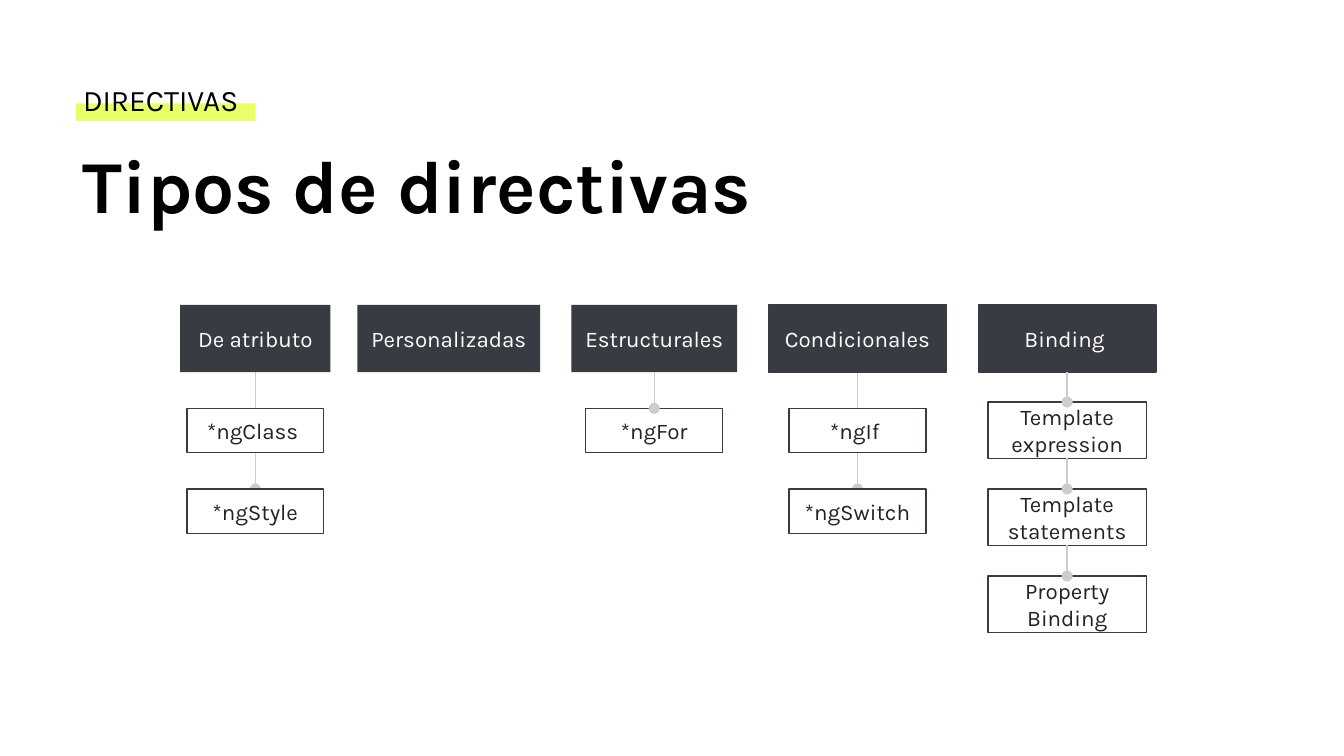
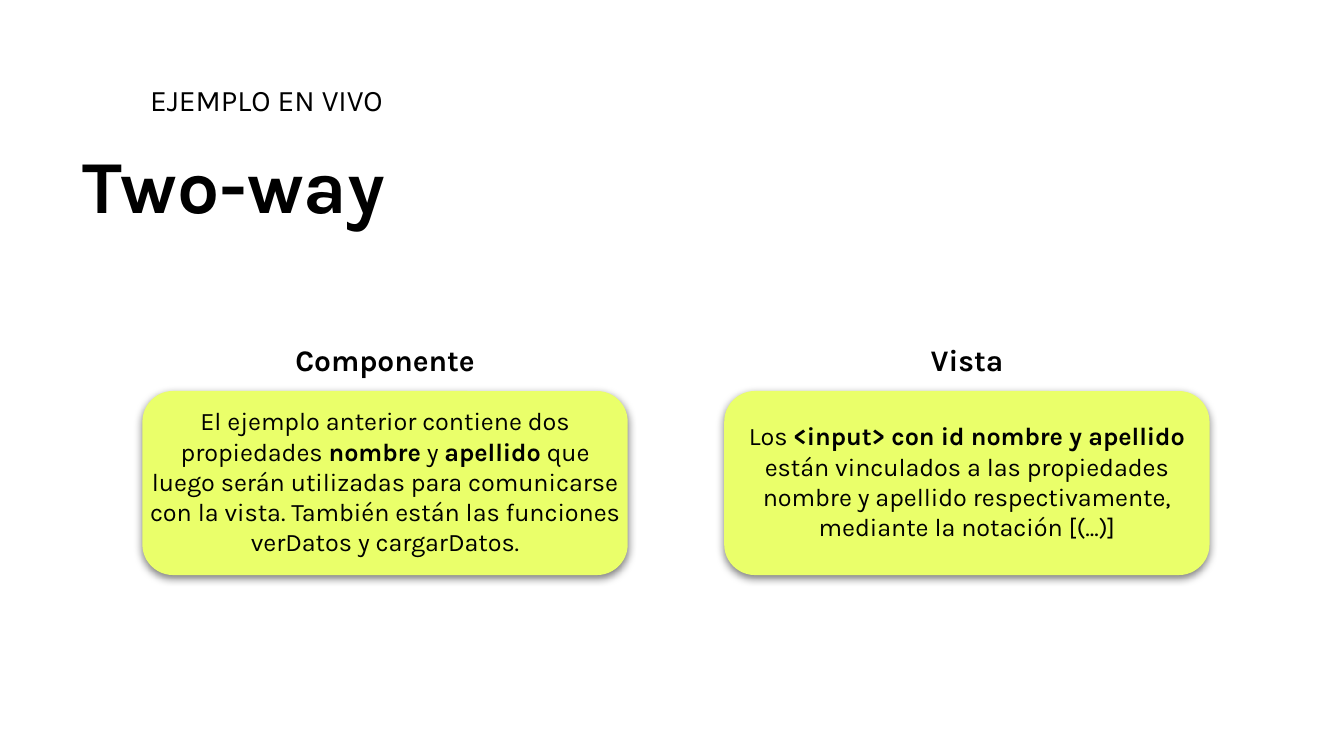
"""Builds two slides about directives: their types and a two-way example."""
import lxml.etree
import pptx
import pptx.dml.color
import pptx.enum.shapes
import pptx.enum.text
import pptx.oxml
import pptx.oxml.ns
import pptx.util

Pt = pptx.util.Pt
SHAPES = pptx.enum.shapes.MSO_SHAPE
CENTER = pptx.enum.text.PP_ALIGN.CENTER

FONT = "Karla"
LIME, DARK, INK = "EAFF6A", "393B43", "222222"
BLACK, WHITE, GREY = "000000", "FFFFFF", "CCCCCC"
INSET = 7.2

HEADER_TOP, HEADER_HEIGHT = 163.4, 36
HEADER_BOTTOM = HEADER_TOP + HEADER_HEIGHT
SECOND_ROW = 262
SMALL_BOX = {"width": 73.4, "height": 23.8, "pitch": 43.2}
LARGE_BOX = {"width": 85, "height": 30.2, "pitch": 46.6}

CARD_TOP, CARD_WIDTH, CARD_HEIGHT = 209.5, 260, 98.6


def color(hex_text):
    """Turn a hex string into a colour."""
    return pptx.dml.color.RGBColor.from_string(hex_text)


def write(shape, pieces, size, ink, align=None, spacing=None):
    """Fill a shape with one paragraph of (text, bold) pieces."""
    frame = shape.text_frame
    frame.word_wrap = True
    frame.margin_left = frame.margin_right = Pt(INSET)
    frame.margin_top = frame.margin_bottom = Pt(INSET)
    paragraph = frame.paragraphs[0]
    paragraph.alignment = align
    paragraph.line_spacing = spacing
    for text, bold in pieces:
        run = paragraph.add_run()
        run.text = text
        run.font.name = FONT
        run.font.size = Pt(size)
        run.font.bold = bold
        run.font.color.rgb = color(ink)


def add_label(slide, left, top, width, height, pieces, size, align=None, spacing=None):
    """Add a text box that grows with its text."""
    label = slide.shapes.add_textbox(Pt(left), Pt(top), Pt(width), Pt(height))
    write(label, pieces, size, BLACK, align, spacing)
    label.text_frame.auto_size = pptx.enum.text.MSO_AUTO_SIZE.SHAPE_TO_FIT_TEXT


def add_block(slide, left, top, width, height, fill, outline=None, kind=SHAPES.RECTANGLE):
    """Add a filled shape without shadow."""
    block = slide.shapes.add_shape(kind, Pt(left), Pt(top), Pt(width), Pt(height))
    block.shadow.inherit = False
    block.fill.solid()
    block.fill.fore_color.rgb = color(fill)
    if outline:
        block.line.color.rgb = color(outline)
        block.line.width = Pt(0.75)
    else:
        block.line.fill.background()
    return block


def add_node(slide, center, top, width, height, text, fill, ink, outline=None):
    """Add a diagram box with centred text around a column axis."""
    node = add_block(slide, center - width / 2, top, width, height, fill, outline)
    write(node, [(text, False)], 12, ink, CENTER)
    node.text_frame.vertical_anchor = pptx.enum.text.MSO_ANCHOR.MIDDLE


def add_link(slide, center, top, bottom):
    """Add a vertical grey line that ends in a dot."""
    link = slide.shapes.add_connector(
        pptx.enum.shapes.MSO_CONNECTOR.STRAIGHT, Pt(center), Pt(top), Pt(center), Pt(bottom))
    link.line.color.rgb = color(GREY)
    link.line.width = Pt(0.75)
    qn = pptx.oxml.ns.qn
    outline = link.line._get_or_add_ln()
    lxml.etree.SubElement(outline, qn("a:tailEnd"), type="oval")
    lxml.etree.SubElement(link._element.spPr, qn("a:effectLst"))


def add_heading(slide, kicker, kicker_left, title):
    """Add the small upper line and the large title."""
    add_label(slide, 37.4, 72.7, 642, 58.3, [(title, True)], 40, spacing=0.9)
    add_label(slide, kicker_left, 36.7, 372, 33.8, [(kicker, False)], 16)


def add_column(slide, center, width, header, items, box, outline=None, through=False):
    """Add a header with its chain of boxes; a through link runs behind them."""
    first = SECOND_ROW - box["pitch"]
    tops = [first + i * box["pitch"] for i in range(len(items))]
    if through:
        add_link(slide, center, HEADER_BOTTOM, tops[-1])
    add_node(slide, center, HEADER_TOP, width, HEADER_HEIGHT, header, DARK, WHITE, outline)
    for top, item in zip(tops, items):
        add_node(slide, center, top, box["width"], box["height"], item, WHITE, INK, DARK)
    if not through:
        starts = [HEADER_BOTTOM] + [top + box["height"] for top in tops]
        for start, top in zip(starts, tops):
            add_link(slide, center, start, top)


def add_soft_shadow(shape):
    """Give a shape a half-transparent shadow below it."""
    effects = shape._element.spPr.find(pptx.oxml.ns.qn("a:effectLst"))
    effects.append(pptx.oxml.parse_xml(
        f'<a:outerShdw {pptx.oxml.ns.nsdecls("a")} blurRad="{Pt(4.5)}" dist="{Pt(1.5)}" '
        f'dir="5400000" algn="bl" rotWithShape="0"><a:srgbClr val="{BLACK}">'
        '<a:alpha val="50000"/></a:srgbClr></a:outerShdw>'))


def add_card(slide, center, caption, pieces, text_top, text_width, text_height):
    """Add a captioned lime card with its text."""
    add_label(slide, center - 60, 175.7, 120, 33.8, [(caption, True)], 16, CENTER)
    card = add_block(slide, center - CARD_WIDTH / 2, CARD_TOP, CARD_WIDTH, CARD_HEIGHT,
                     LIME, kind=SHAPES.ROUNDED_RECTANGLE)
    add_soft_shadow(card)
    add_label(slide, center - text_width / 2, text_top, text_width, text_height,
              pieces, 13.5, CENTER)


def build_types(slide):
    """Draw the slide with the kinds of directives."""
    add_block(slide, 40.6, 55.4, 96.4, 9.4, LIME)
    add_heading(slide, "DIRECTIVAS", 37.4, "Tipos de directivas")
    add_column(slide, 136.8, 80.6, "De atributo", ["*ngClass ", "*ngStyle"],
               SMALL_BOX, through=True)
    add_column(slide, 240.5, 97.9, "Personalizadas", [], SMALL_BOX)
    add_column(slide, 350.5, 88.8, "Estructurales", ["*ngFor"], SMALL_BOX)
    add_column(slide, 459.4, 95.2, "Condicionales", ["*ngIf ", "*ngSwitch"],
               SMALL_BOX, DARK, through=True)
    add_column(slide, 571.7, 95.2, "Binding ",
               ["Template expression", "Template statements", "Property Binding"],
               LARGE_BOX, DARK)


def build_two_way(slide):
    """Draw the slide with the two-way example."""
    add_heading(slide, "EJEMPLO EN VIVO", 73.4, "Two-way")
    add_card(slide, 206.3, "Componente", [
        ("El ejemplo anterior contiene dos propiedades ", False),
        ("nombre", True),
        (" y ", False),
        ("apellido", True),
        (" que luego serán utilizadas para comunicarse con la vista. "
         "También están las funciones verDatos y cargarDatos.", False),
    ], 210.2, 268.8, 96.5)
    add_card(slide, 518, "Vista", [
        ("Los ", False),
        ("<input> con id nombre y apellido ", True),
        ("están vinculados a las propiedades nombre y apellido respectivamente, "
         "mediante la notación [(...)]", False),
    ], 218.2, 260, 80)


def main():
    """Build and save the presentation."""
    deck = pptx.Presentation()
    deck.slide_width, deck.slide_height = Pt(720), Pt(405)
    for build in (build_types, build_two_way):
        build(deck.slides.add_slide(deck.slide_layouts[6]))
    deck.save("out.pptx")


if __name__ == "__main__":
    main()
